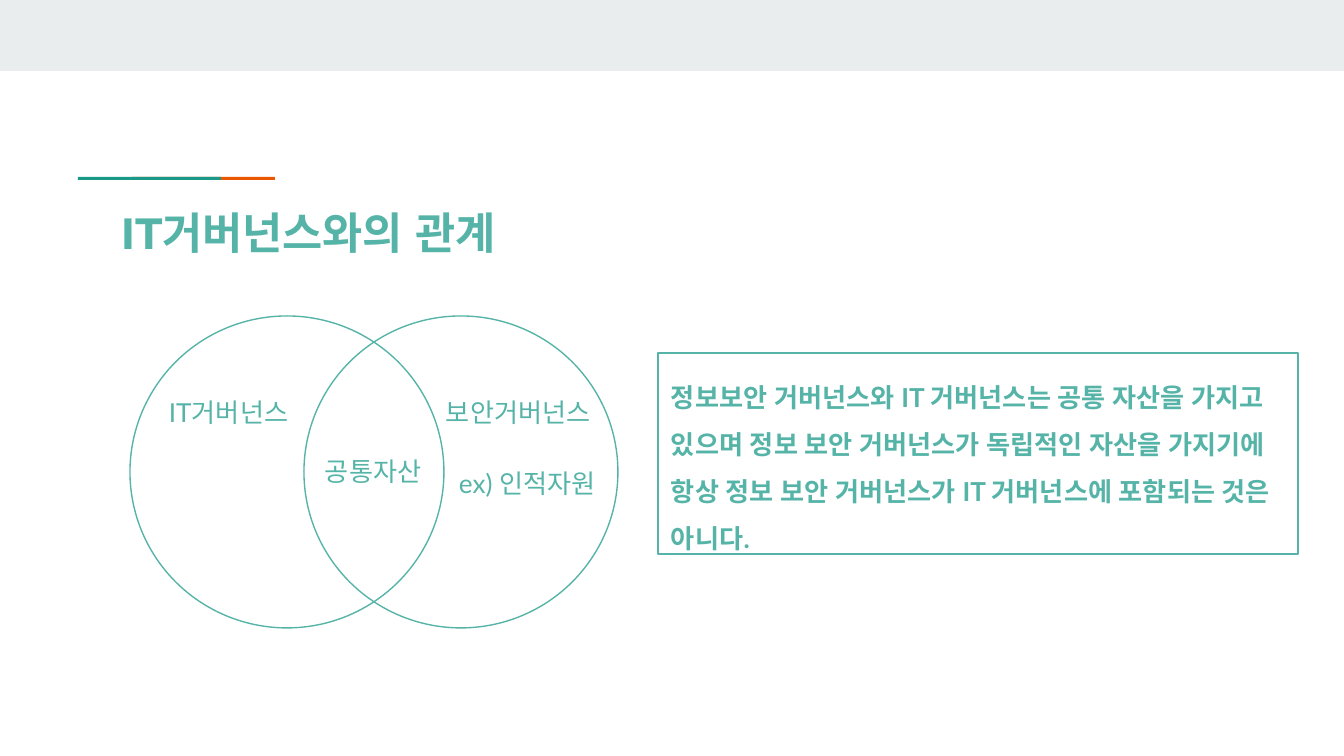
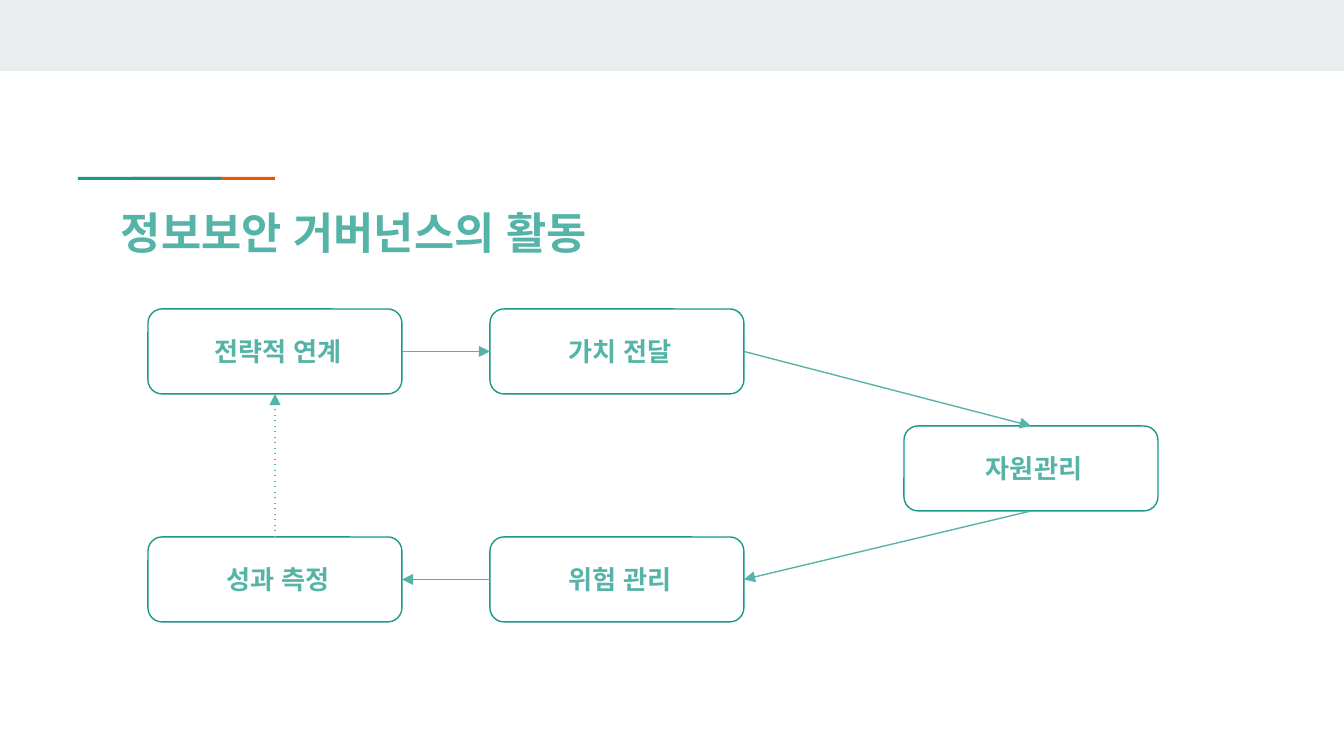
from typing import NamedTuple

from lxml import etree
from pptx import Presentation
from pptx.dml.color import RGBColor
from pptx.enum import shapes, text
from pptx.oxml.ns import qn
from pptx.util import Emu, Pt

EMU_PER_INCH = 914400
PX_PER_INCH = 134.4
PAGE_WIDTH, PAGE_HEIGHT = 1344, 756


def px(length: float) -> Emu:
    return Emu(round(length * EMU_PER_INCH / PX_PER_INCH))


# Theme and records
class Theme(NamedTuple):
    band: str = "E9EDEE"
    orange: str = "EB5600"
    green: str = "1A9988"
    mint: str = "55B4A7"
    title_font: str = "Montserrat"
    body_font: str = "Lato"
    title_size: float = 23.4
    body_size: float = 14
    line_width: float = 0.75
    inset: int = 13


THEME = Theme()
KIND = shapes.MSO_SHAPE


class Rect(NamedTuple):
    left: int
    top: int
    width: int
    height: int


class Label(NamedTuple):
    words: str
    rect: Rect


class Step(NamedTuple):
    words: str
    left: int
    top: int


class Arrow(NamedTuple):
    start: str
    start_side: int
    end: str
    end_side: int
    dotted: bool = False


# Drawing helpers
def write(shape, words: str, font: str = THEME.body_font,
          size: float = THEME.body_size, bold: bool = False,
          align=text.PP_ALIGN.LEFT, anchor=text.MSO_ANCHOR.TOP,
          spacing: float = 1.0) -> None:
    frame = shape.text_frame
    inset = px(THEME.inset)
    frame_format = {"word_wrap": True, "vertical_anchor": anchor,
                    "margin_left": inset, "margin_right": inset,
                    "margin_top": inset, "margin_bottom": inset}
    for name, value in frame_format.items():
        setattr(frame, name, value)
    para = frame.paragraphs[0]
    para.alignment, para.line_spacing = align, spacing
    span = para.add_run()
    span.text = words
    for name, value in {"name": font, "size": Pt(size), "bold": bold}.items():
        setattr(span.font, name, value)
    span.font.color.rgb = RGBColor.from_string(THEME.mint)
    for script in ("a:ea", "a:cs"):
        etree.SubElement(span.font._element, qn(script), typeface=font)


def add_label(page, words: str, rect: Rect, **style) -> None:
    write(page.shapes.add_textbox(*map(px, rect)), words, **style)


def add_block(page, kind, rect: Rect, fill: str = "", line: str = ""):
    shape = page.shapes.add_shape(kind, *map(px, rect))
    shape.shadow.inherit = False
    if fill:
        shape.fill.solid()
        shape.fill.fore_color.rgb = RGBColor.from_string(fill)
    else:
        shape.fill.background()
    if line:
        shape.line.color.rgb = RGBColor.from_string(line)
        shape.line.width = Pt(THEME.line_width)
    else:
        shape.line.fill.background()
    return shape


def add_arrow(page, boxes: dict, arrow: Arrow) -> None:
    link = page.shapes.add_connector(shapes.MSO_CONNECTOR.STRAIGHT, 0, 0, 0, 0)
    link.begin_connect(boxes[arrow.start], arrow.start_side)
    link.end_connect(boxes[arrow.end], arrow.end_side)
    link.line.color.rgb = RGBColor.from_string(THEME.mint)
    link.line.width = Pt(THEME.line_width)
    properties = link._element.spPr
    outline = properties.find(qn("a:ln"))
    if arrow.dotted:
        etree.SubElement(outline, qn("a:prstDash"), val="dot")
    etree.SubElement(outline, qn("a:tailEnd"), type="triangle")
    etree.SubElement(properties, qn("a:effectLst"))


# Shared page: top band, two-colour rule and title
def add_page(deck, title: str):
    page = deck.slides.add_slide(deck.slide_layouts[6])
    add_block(page, KIND.RECTANGLE, Rect(0, 0, PAGE_WIDTH, 71), fill=THEME.band)
    for left, color in ((132, THEME.orange), (78, THEME.green)):
        add_block(page, KIND.RECTANGLE, Rect(left, 177, 143, 3), fill=color)
    add_label(page, title, Rect(108, 193, 1130, 79), font=THEME.title_font,
              size=THEME.title_size, bold=True)
    return page


# Slide 1: overlapping circles and a statement
LABELS = (
    Label("IT거버넌스", Rect(156, 383, 194, 59)),
    Label("보안거버넌스", Rect(433, 383, 194, 59)),
    Label("공통자산", Rect(312, 442, 146, 59)),
    Label("ex) 인적자원", Rect(446, 454, 194, 59)),
)
STATEMENT = ("정보보안 거버넌스와 IT 거버넌스는 공통 자산을 가지고 있으며 "
             "정보 보안 거버넌스가 독립적인 자산을 가지기에 항상 "
             "정보 보안 거버넌스가 IT 거버넌스에 포함되는 것은 아니다.")


def build_relation(deck) -> None:
    page = add_page(deck, "IT거버넌스와의 관계")
    for left in (130, 304):
        add_block(page, KIND.OVAL, Rect(left, 316, 314, 312), line=THEME.mint)
    for label in LABELS:
        add_label(page, label.words, label.rect)
    statement = add_block(page, KIND.RECTANGLE, Rect(658, 353, 640, 201),
                          line=THEME.mint)
    write(statement, STATEMENT, bold=True, spacing=1.5)


# Slide 2: cycle of activities
LEFT, MIDDLE, RIGHT = 148, 490, 904
UPPER, CENTRE, LOWER = 309, 426, 537
TOP_SIDE, LEFT_SIDE, BOTTOM_SIDE, RIGHT_SIDE = range(4)
STEPS = {
    "strategy": Step(" 전략적 연계", LEFT, UPPER),
    "value": Step(" 가치 전달", MIDDLE, UPPER),
    "resource": Step(" 자원관리", RIGHT, CENTRE),
    "result": Step(" 성과 측정", LEFT, LOWER),
    "risk": Step(" 위험 관리", MIDDLE, LOWER),
}
ARROWS = (
    Arrow("strategy", RIGHT_SIDE, "value", LEFT_SIDE),
    Arrow("value", RIGHT_SIDE, "resource", TOP_SIDE),
    Arrow("resource", BOTTOM_SIDE, "risk", RIGHT_SIDE),
    Arrow("risk", LEFT_SIDE, "result", RIGHT_SIDE),
    Arrow("result", TOP_SIDE, "strategy", BOTTOM_SIDE, dotted=True),
)


def build_activities(deck) -> None:
    page = add_page(deck, "정보보안 거버넌스의 활동")
    boxes = {}
    for name, step in STEPS.items():
        box = add_block(page, KIND.ROUNDED_RECTANGLE,
                        Rect(step.left, step.top, 254, 85), line=THEME.green)
        write(box, step.words, bold=True, align=text.PP_ALIGN.CENTER,
              anchor=text.MSO_ANCHOR.MIDDLE)
        boxes[name] = box
    for arrow in ARROWS:
        add_arrow(page, boxes, arrow)


def main() -> None:
    deck = Presentation()
    deck.slide_width, deck.slide_height = px(PAGE_WIDTH), px(PAGE_HEIGHT)
    build_relation(deck)
    build_activities(deck)
    deck.save("out.pptx")


if __name__ == "__main__":
    main()
